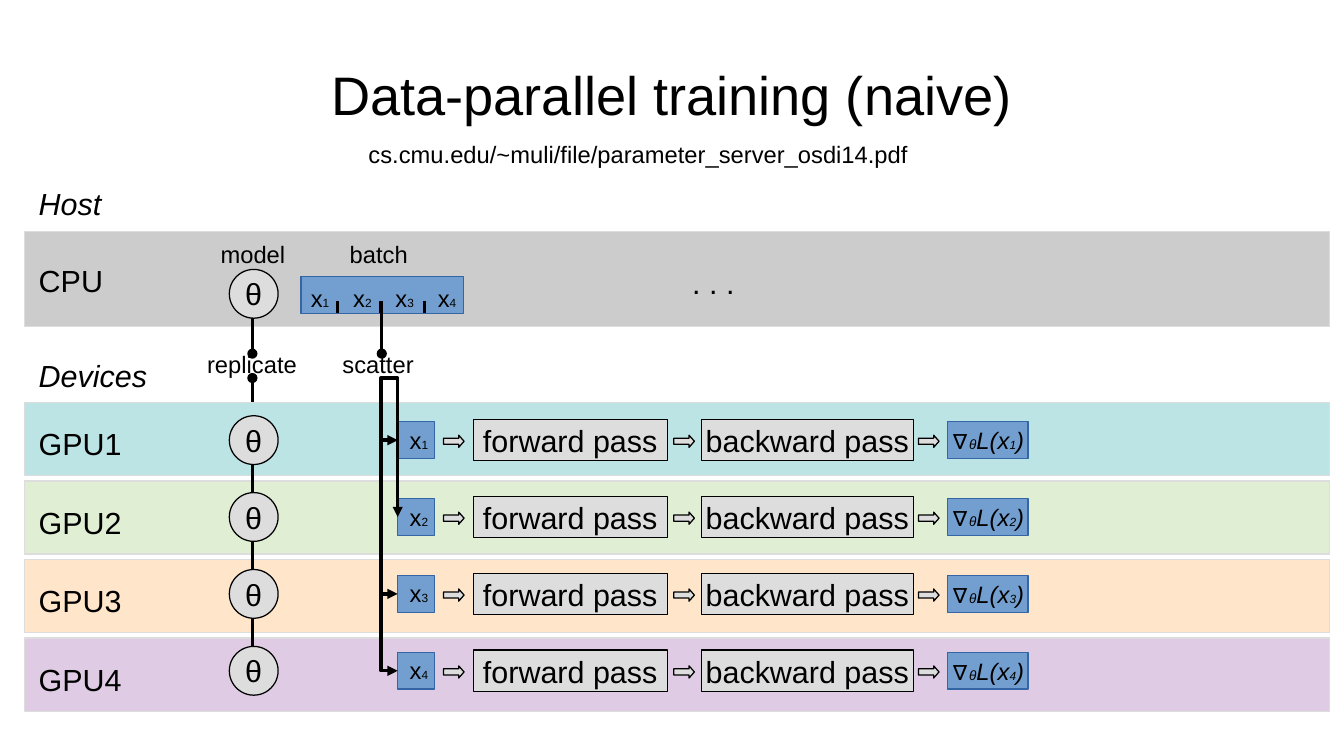
from pptx import Presentation
from pptx.dml.color import RGBColor
from pptx.enum.shapes import MSO_CONNECTOR as LINK, MSO_SHAPE as KIND
from pptx.enum.text import MSO_ANCHOR, PP_ALIGN
from pptx.oxml.ns import qn
from pptx.util import Pt
from lxml.etree import SubElement

BLACK, GREY, BLUE, EDGE = "000000", "DDDDDD", "729FCF", "3465A4"
BANDS = ["BCE4E5", "E0EFD4", "FFE5CA", "DFCCE4"]
STEP = 45.4


def paint(color, code):
    color.rgb = RGBColor.from_string(code)


def write(frame, runs, align=PP_ALIGN.LEFT, slant=False):
    para = frame.paragraphs[0]
    para.alignment = align
    for text, size in runs:
        run = para.add_run()
        run.text = text
        font = run.font
        font.name, font.size, font.italic = "Arial", Pt(size), slant
        paint(font.color, BLACK)


def label(slide, box, runs, align=PP_ALIGN.LEFT, slant=False):
    frame = slide.shapes.add_textbox(*map(Pt, box)).text_frame
    frame.word_wrap = True
    write(frame, runs, align, slant)


def block(slide, kind, box, fill, edge, runs=(), slant=False):
    shape = slide.shapes.add_shape(kind, *map(Pt, box))
    shape.shadow.inherit = False
    shape.fill.solid()
    paint(shape.fill.fore_color, fill)
    paint(shape.line.color, edge)
    shape.line.width = Pt(0)
    if runs:
        frame = shape.text_frame
        frame.word_wrap = False
        frame.vertical_anchor = MSO_ANCHOR.MIDDLE
        write(frame, runs, PP_ALIGN.CENTER, slant)
    return shape


def wire(slide, ends, tip=None, kind=LINK.STRAIGHT):
    link = slide.shapes.add_connector(kind, *map(Pt, ends))
    paint(link.line.color, BLACK)
    link.line.width = Pt(0)
    props = link._element.spPr
    if tip:
        SubElement(props.find(qn("a:ln")), qn("a:tailEnd"), type=tip)
    SubElement(props, qn("a:effectLst"))
    return props


def elbow(slide, left, top, wide, high, rise=0):
    mid_x, mid_y = left + wide / 2, top + high / 2
    ends = (mid_x + high / 2, mid_y - wide / 2, mid_x - high / 2, mid_y + wide / 2)
    props = wire(slide, ends, "triangle", LINK.ELBOW)
    props.find(qn("a:xfrm")).set("rot", "16200000")
    geom = props.find(qn("a:prstGeom"))
    if rise:
        ratio = round(-rise / high * 100000)
        SubElement(geom.find(qn("a:avLst")), qn("a:gd"), name="adj1", fmla=f"val {ratio}")
    else:
        geom.set("prst", "bentConnector2")


def theta(slide, left, top):
    block(slide, KIND.OVAL, (left, top, 28.8, 28.8), GREY, BLACK, [("θ", 18)])


def sample(slide, left, top, index):
    label(slide, (left, top, 28, 36), [("x", 14), (str(index), 7)])


def header(slide, left, top, wide):
    title = slide.shapes.title
    title.left, title.top, title.width, title.height = map(Pt, (left, top, wide, 74.9))
    frame = title.text_frame
    frame.margin_left = frame.margin_right = frame.margin_top = frame.margin_bottom = 0
    frame.vertical_anchor = MSO_ANCHOR.MIDDLE
    write(frame, [("Data-parallel training (naive)", 32)], PP_ALIGN.CENTER)
    label(slide, (left + 77.8, top + 61.2, 519, 27.4),
          [("cs.cmu.edu/~muli/file/parameter_server_osdi14.pdf", 14)], PP_ALIGN.CENTER)


def host(slide, left, top, wide):
    block(slide, KIND.RECTANGLE, (left, top, wide, 56.2), "CCCCCC", GREY)
    label(slide, (left + 1.4, top - 31, 92, 27.4), [("Host", 18)], slant=True)
    label(slide, (left + 1.4, top + 14.4, 92, 27.4), [("CPU", 18)])
    label(slide, (left + 108.7, top + 1.4, 58.3, 27.4), [("model", 14)])
    label(slide, (left + 185, top + 1.4, 58.3, 27.4), [("batch", 14)])
    label(slide, (left + 345.6, top + 15.8, 122.4, 47.5), [(". . .", 18)], PP_ALIGN.CENTER)
    block(slide, KIND.RECTANGLE, (left + 163.4, top + 26.6, 95.8, 21.6), BLUE, EDGE)
    for i in range(4):
        sample(slide, left + 162 + 25 * i, top + 27.4, i + 1)
    for i in range(3):
        tick = left + 185 + 25.6 * i
        wire(slide, (tick, top + 41, tick, top + 48.2))
    for x in (left + 134.6, left + 211):
        wire(slide, (x, top + 48.2, x, top + 72), "oval")
    theta(slide, left + 121, top + 22.3)


def device(slide, left, top, index):
    theta(slide, left, top)
    block(slide, KIND.RECTANGLE, (left + 99.4, top + 3.6, 21.6, 21.6), BLUE, EDGE)
    sample(slide, left + 99.4, top + 2.2, index)
    for x, wide, text in ((144, 114.5, "forward pass"), (278.6, 125.3, "backward pass")):
        block(slide, KIND.RECTANGLE, (left + x, top + 2.2, wide, 24.5), GREY, BLACK, [(text, 18)])
    for x in (126.4, 262.4, 406.8):
        arrow = block(slide, KIND.RIGHT_ARROW, (left + x, top + 11.5, 12.2, 7.2), GREY, BLACK)
        arrow.adjustments[1] = 0.44
    runs = [("∇", 14), ("θ", 8), ("L(x", 14), (str(index), 7), (")", 14)]
    block(slide, KIND.RECTANGLE, (left + 424, top + 3.6, 47.5, 21.6), BLUE, EDGE, runs, True)


def cluster(slide, left, top, wide):
    label(slide, (left + 1.4, top - 30.2, 92, 27.4), [("Devices", 18)], slant=True)
    label(slide, (left + 100.8, top - 34.6, 67.7, 38.9), [("replicate", 14)])
    label(slide, (left + 180.7, top - 34.6, 59.8, 23), [("scatter", 14)])
    stem, row = left + 134.6, top + 7.9
    wire(slide, (stem, row, stem, top - 14.4), "oval")
    for i, fill in enumerate(BANDS):
        band = top + 46.4 * i
        block(slide, KIND.RECTANGLE, (left, band, wide, 43.2), fill, GREY)
        label(slide, (left + 1.4, band + 9.8, 92, 27.4), [(f"GPU{i + 1}", 18)])
    for i in range(4):
        y = row + STEP * i
        if i:
            wire(slide, (stem, y - STEP + 28.8, stem, y))
        device(slide, left + 121, y, i + 1)
    for i in range(4):
        rise = 2.2 if i == 1 else 0
        start = top - 14.4 + rise
        elbow(slide, left + 210.6, start, 9.8, row + STEP * i + 14.4 - start, rise)


def main():
    deck = Presentation()
    deck.slide_width, deck.slide_height = Pt(793.44), Pt(446.4)
    slide = deck.slides.add_slide(deck.slide_layouts[5])
    header(slide, 39.6, 18, 714.2)
    host(slide, 14.4, 136.8, 770.4)
    cluster(slide, 14.4, 237.6, 770.4)
    deck.save("out.pptx")


if __name__ == "__main__":
    main()
